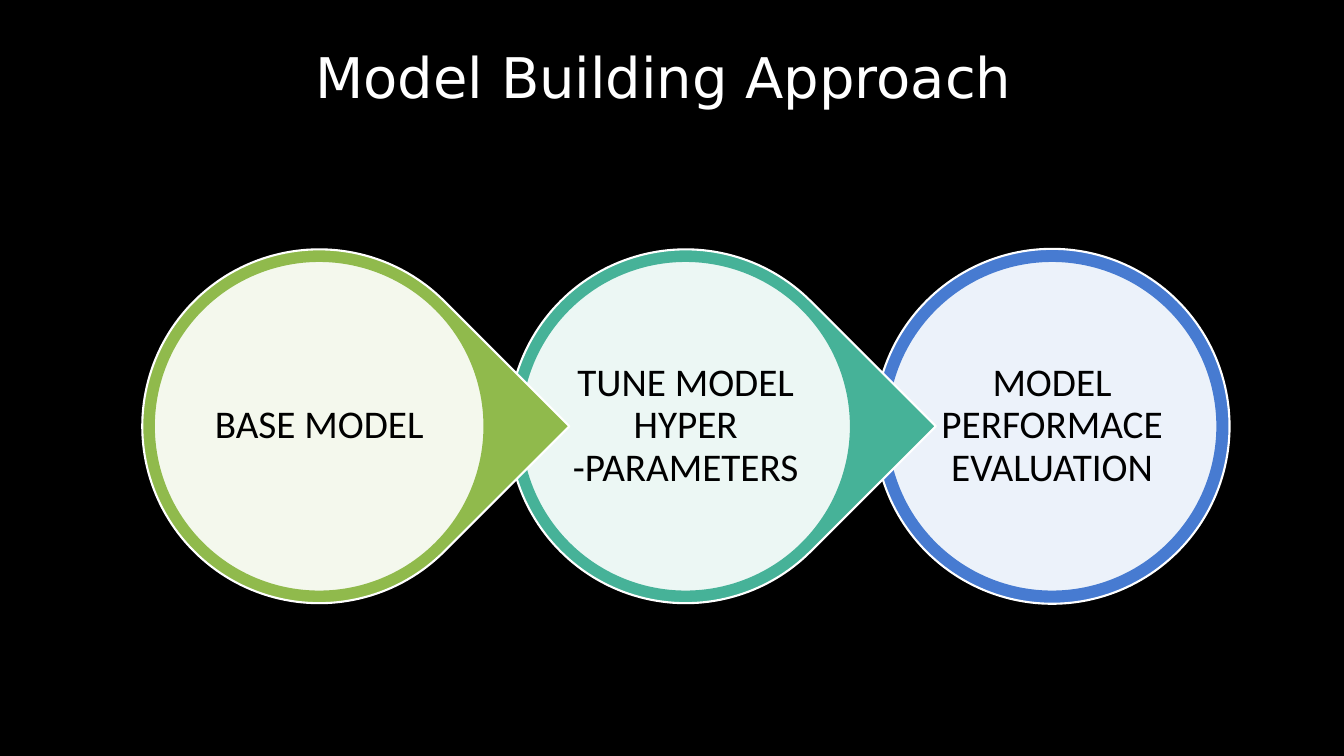
from lxml import etree
from pptx import Presentation
from pptx.dml.color import RGBColor
from pptx.enum.shapes import MSO_SHAPE
from pptx.enum.text import MSO_ANCHOR, PP_ALIGN
from pptx.oxml.ns import qn
from pptx.util import Emu, Pt

ELLIPSE = MSO_SHAPE.OVAL
TEARDROP = MSO_SHAPE.TEAR
MIDDLE = MSO_ANCHOR.MIDDLE
TOP = MSO_ANCHOR.TOP
LEFT = PP_ALIGN.LEFT
CENTER = PP_ALIGN.CENTER

EMU_PER_PX = 9525
BLACK = "000000"
WHITE = "FFFFFF"


def px(n):
    return Emu(round(n * EMU_PER_PX))


def rgb(value):
    return RGBColor.from_string(value)


class Deck:
    heading_font = "DejaVu Sans"
    body_font = "Calibri"
    line_width = Pt(1.5)

    def __init__(self, width, height):
        self.prs = Presentation()
        self.prs.slide_width = px(width)
        self.prs.slide_height = px(height)

    def add_slide(self, background):
        self.s = self.prs.slides.add_slide(self.prs.slide_layouts[6])
        fill = self.s.background.fill
        fill.solid()
        fill.fore_color.rgb = rgb(background)

    def disc(self, kind, cx, cy, size, fill, line, opacity=100, rotation=0):
        sp = self.s.shapes.add_shape(
            kind, px(cx - size / 2), px(cy - size / 2), px(size), px(size))
        sp.shadow.inherit = False
        sp.rotation = rotation
        sp.fill.solid()
        sp.fill.fore_color.rgb = rgb(fill)
        sp.line.color.rgb = rgb(line)
        sp.line.width = self.line_width
        if opacity < 100:
            color = sp.fill._xPr.find(qn("a:solidFill"))[0]
            etree.SubElement(color, qn("a:alpha"), val=str(opacity * 1000))

    def text(self, x, y, w, h, content, font, size, color,
             align=LEFT, anchor=TOP, inset=None, spacing=None):
        tf = self.s.shapes.add_textbox(px(x), px(y), px(w), px(h)).text_frame
        tf.word_wrap = True
        tf.vertical_anchor = anchor
        if inset is not None:
            tf.margin_left = tf.margin_right = px(inset)
            tf.margin_top = tf.margin_bottom = px(inset)
        p = tf.paragraphs[0]
        p.alignment = align
        p.line_spacing = spacing
        r = p.add_run()
        r.text = content
        r.font.name = font
        r.font.size = Pt(size)
        r.font.color.rgb = rgb(color)

    def title(self, x, y, w, h, content):
        self.text(x, y, w, h, content, self.heading_font, 40, WHITE)

    def step(self, cx, cy, label, color, last):
        if last:
            self.disc(ELLIPSE, cx, cy, 338, color, WHITE)
        else:
            self.disc(TEARDROP, cx, cy, 337, color, WHITE, rotation=45)
        self.disc(ELLIPSE, cx, cy, 315, WHITE, color, opacity=90)
        side = 226
        self.text(cx - side / 2, cy - side / 2, side, side, label,
                  self.body_font, 28, BLACK, CENTER, MIDDLE, 4, 0.9)


def main():
    steps = [
        ("BASE MODEL", "90BA4C"),
        ("TUNE MODEL HYPER -PARAMETERS", "46B298"),
        ("MODEL PERFORMACE EVALUATION", "477BD1"),
    ]
    first_x, pitch, center_y = 304, 349, 406

    deck = Deck(1280, 720)
    deck.add_slide(BLACK)
    deck.title(291, 36, 699, 74, "Model Building Approach")
    for i, (label, color) in reversed(list(enumerate(steps))):
        deck.step(first_x + i * pitch, center_y, label, color,
                  last=i == len(steps) - 1)
    deck.prs.save("out.pptx")


if __name__ == "__main__":
    main()
